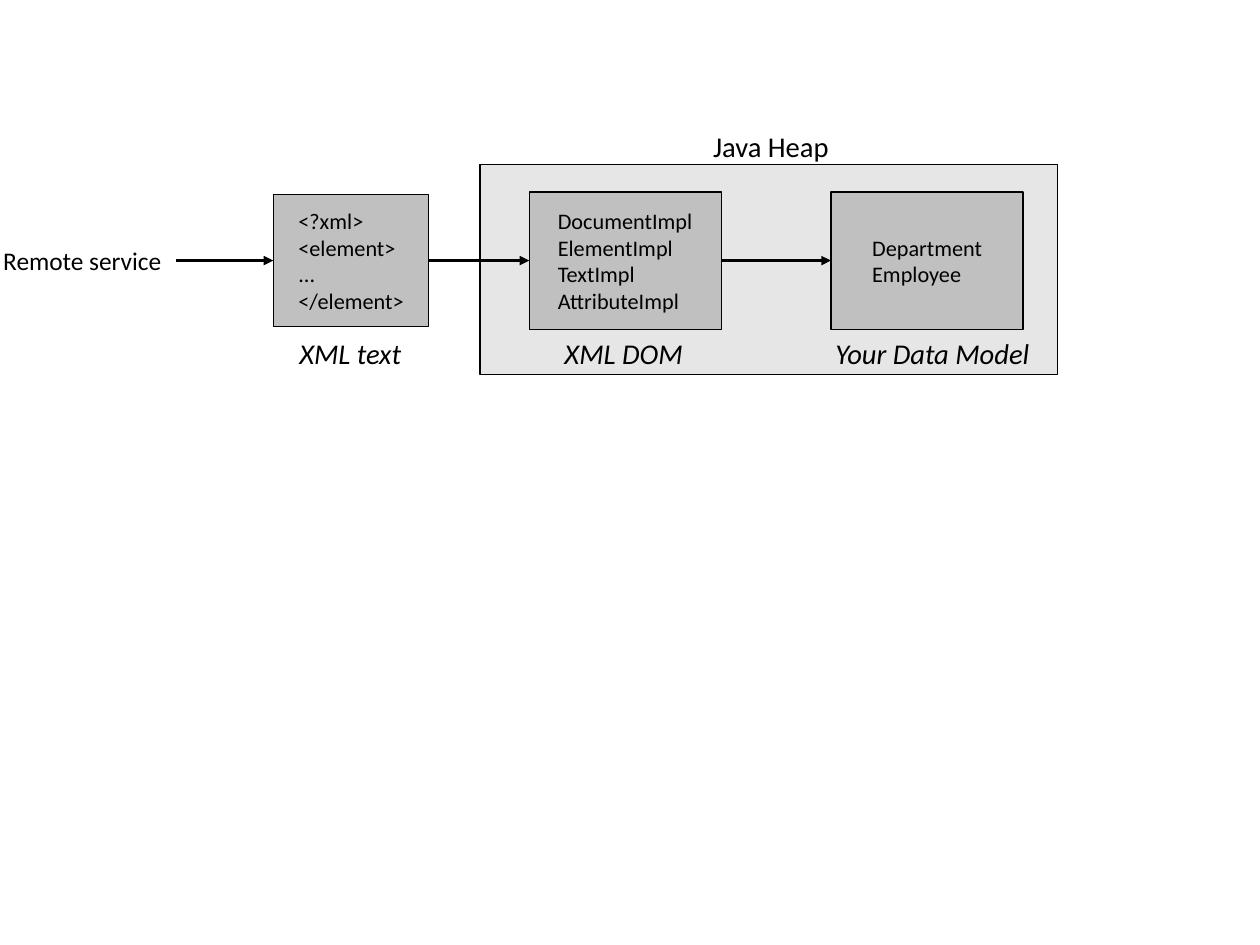
from dataclasses import dataclass
from itertools import pairwise

from lxml import etree
from pptx import Presentation
from pptx.dml.color import RGBColor
from pptx.enum.shapes import MSO_CONNECTOR, MSO_SHAPE
from pptx.enum.text import MSO_ANCHOR, PP_ALIGN
from pptx.oxml.ns import qn
from pptx.shapes.autoshape import Shape
from pptx.shapes.connector import Connector
from pptx.shapes.shapetree import GroupShapes, SlideShapes
from pptx.util import Inches, Pt

RECT = MSO_SHAPE.RECTANGLE
ELBOW = MSO_CONNECTOR.ELBOW
LEFT = PP_ALIGN.LEFT
TOP = MSO_ANCHOR.TOP
MIDDLE = MSO_ANCHOR.MIDDLE
LEFT_SITE, RIGHT_SITE = 1, 3


@dataclass(frozen=True)
class Theme:
    font: str = "Calibri"
    ink: RGBColor = RGBColor(0, 0, 0)
    heap: RGBColor = RGBColor(0xE6, 0xE6, 0xE6)
    box: RGBColor = RGBColor(0xC0, 0xC0, 0xC0)
    code: int = 14
    source: int = 16
    label: int = 18
    stroke: int = 0


@dataclass(frozen=True)
class Area:
    left: float
    top: float
    width: float
    height: float

    def place(self) -> tuple[Inches, Inches, Inches, Inches]:
        return (Inches(self.left), Inches(self.top),
                Inches(self.width), Inches(self.height))


@dataclass(frozen=True)
class Label:
    text: str
    area: Area
    size: int
    italic: bool = False


@dataclass(frozen=True)
class Stage:
    lines: tuple[str, ...]
    left: float
    width: float
    height: float
    inset: float
    label: Label


THEME = Theme()
CM_PER_INCH = 2.54
FLOW_Y = 2.28
SERVICE_END = 1.54


def name_label(text: str, left: float, width: float) -> Label:
    return Label(text, Area(left, 2.89, width, 0.44), THEME.label, True)


HEAP = Area(4.2, 1.44, 5.05, 1.84)
SERVICE = Label("Remote service", Area(-0.07, 2.1, 1.79, 0.4), THEME.source)
HEAP_LABEL = Label("Java Heap", Area(6.14, 1.08, 1.36, 0.44), THEME.label)
STAGES = (
    Stage(("<?xml>", "<element>", "...", "</element>"),
          2.39, 1.36, 1.16, 0.22, name_label("XML text", 2.52, 1.14)),
    Stage(("DocumentImpl", "ElementImpl", "TextImpl", "AttributeImpl"),
          4.63, 1.68, 1.2, 0.25, name_label("XML DOM", 4.84, 1.28)),
    Stage(("Department", "Employee"),
          7.27, 1.68, 1.2, 0.36, name_label("Your Data Model", 7.21, 2.05)),
)


def write(shape: Shape, lines: tuple[str, ...], size: int,
          anchor: MSO_ANCHOR, inset: float = 0.1, italic: bool = False) -> None:
    frame = shape.text_frame
    frame.word_wrap = True
    frame.vertical_anchor = anchor
    frame.margin_left = Inches(inset)
    for index, line in enumerate(lines):
        para = frame.add_paragraph() if index else frame.paragraphs[0]
        para.alignment = LEFT
        run = para.add_run()
        run.text = line
        run.font.name = THEME.font
        run.font.size = Pt(size)
        run.font.italic = italic
        run.font.color.rgb = THEME.ink


def draw_box(shapes: SlideShapes | GroupShapes, area: Area,
             fill: RGBColor) -> Shape:
    box = shapes.add_shape(RECT, *area.place())
    box.shadow.inherit = False
    box.fill.solid()
    box.fill.fore_color.rgb = fill
    box.line.color.rgb = THEME.ink
    box.line.width = Pt(THEME.stroke)
    return box


def draw_label(shapes: SlideShapes | GroupShapes, label: Label) -> None:
    box = shapes.add_textbox(*label.area.place())
    write(box, (label.text,), label.size, TOP, italic=label.italic)


def draw_stage(shapes: SlideShapes, stage: Stage) -> Shape:
    group = shapes.add_group_shape()
    area = Area(stage.left, FLOW_Y - stage.height / 2,
                stage.width, stage.height)
    box = draw_box(group.shapes, area, THEME.box)
    write(box, stage.lines, THEME.code, MIDDLE, stage.inset)
    draw_label(group.shapes, stage.label)
    return box


def draw_arrow(shapes: SlideShapes, start: float, end: float) -> Connector:
    y = Inches(FLOW_Y)
    arrow = shapes.add_connector(ELBOW, Inches(start), y, Inches(end), y)
    arrow.line.color.rgb = THEME.ink
    arrow.line.width = Pt(THEME.stroke)
    props = arrow._element.spPr
    etree.SubElement(props.find(qn("a:ln")), qn("a:tailEnd"), type="triangle")
    etree.SubElement(props, qn("a:effectLst"))
    return arrow


def main() -> None:
    deck = Presentation()
    deck.slide_width = Inches(28 / CM_PER_INCH)
    deck.slide_height = Inches(21 / CM_PER_INCH)
    shapes = deck.slides.add_slide(deck.slide_layouts[6]).shapes

    draw_box(shapes, HEAP, THEME.heap)
    draw_label(shapes, SERVICE)
    boxes = [draw_stage(shapes, stage) for stage in STAGES]

    entry = draw_arrow(shapes, SERVICE_END, STAGES[0].left)
    entry.end_connect(boxes[0], LEFT_SITE)
    for (prior, start), (after, end) in pairwise(zip(STAGES, boxes)):
        arrow = draw_arrow(shapes, prior.left + prior.width, after.left)
        arrow.begin_connect(start, RIGHT_SITE)
        arrow.end_connect(end, LEFT_SITE)
    draw_label(shapes, HEAP_LABEL)

    deck.save("out.pptx")


main()
